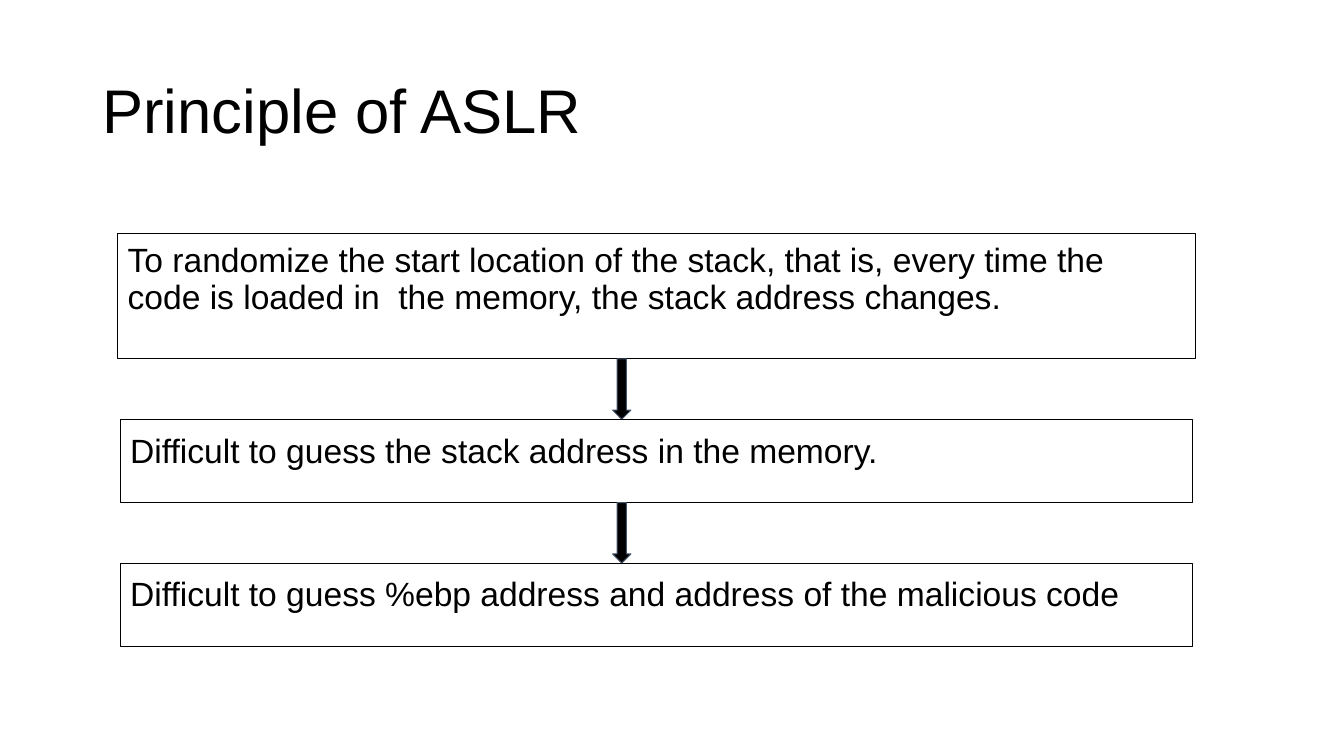
from pptx import Presentation
from pptx import util as u
from pptx.dml import color
from pptx.enum import shapes, text

TITLE = "Principle of ASLR"
STEPS = [
    {"words": "To randomize the start location of the stack, that is, every time the "
              "code is loaded in  the memory, the stack address changes.",
     "width": 769.7, "height": 89.3, "spacing": 0.9},
    {"words": "Difficult to guess the stack address in the memory.",
     "width": 766.1, "height": 59.5, "spacing": 1.0},
    {"words": "Difficult to guess %ebp address and address of the malicious code",
     "width": 766.1, "height": 59.5, "spacing": 1.0},
]

THEME = {
    "font": "Arial", "title": 44, "body": 24,
    "ink": color.RGBColor.from_string("000000"),
    "arrow_edge": color.RGBColor.from_string("44546A"),
    "line": 0.75, "inset": 7.2,
}
SLIDE_SIZE = (960, 540)
TITLE_AREA = (66, 28.8, 828, 104.4)
STEP_CENTER, FIRST_TOP, GAP = 468.9, 167, 43.2
ARROW_CENTER, ARROW_WIDTH = 444.1, 13


def points(*lengths):
    return [u.Pt(length) for length in lengths]


def write(holder, words, size, anchor, spacing):
    frame = holder.text_frame
    frame.word_wrap = True
    frame.vertical_anchor = anchor
    inset = u.Pt(THEME["inset"])
    frame.margin_left = frame.margin_right = inset
    frame.margin_top = frame.margin_bottom = inset
    line = frame.paragraphs[0]
    line.alignment = text.PP_ALIGN.LEFT
    line.line_spacing = spacing
    run = line.add_run()
    run.text = words
    run.font.name = THEME["font"]
    run.font.size = u.Pt(size)
    run.font.color.rgb = THEME["ink"]


def add_outlined(slide, kind, area, edge):
    shape = slide.shapes.add_shape(kind, *points(*area))
    shape.shadow.inherit = False
    shape.line.color.rgb = edge
    shape.line.width = u.Pt(THEME["line"])
    return shape


def add_step(slide, step, top):
    left = STEP_CENTER - step["width"] / 2
    box = add_outlined(slide, shapes.MSO_SHAPE.RECTANGLE,
                       (left, top, step["width"], step["height"]), THEME["ink"])
    box.fill.background()
    write(box, step["words"], THEME["body"], text.MSO_ANCHOR.TOP, step["spacing"])


def add_arrow(slide, top):
    arrow = add_outlined(slide, shapes.MSO_SHAPE.DOWN_ARROW,
                         (ARROW_CENTER - ARROW_WIDTH / 2, top, ARROW_WIDTH, GAP),
                         THEME["arrow_edge"])
    arrow.fill.solid()
    arrow.fill.fore_color.rgb = THEME["ink"]


def main():
    deck = Presentation()
    deck.slide_width, deck.slide_height = points(*SLIDE_SIZE)
    slide = deck.slides.add_slide(deck.slide_layouts[6])

    heading = slide.shapes.add_textbox(*points(*TITLE_AREA))
    write(heading, TITLE, THEME["title"], text.MSO_ANCHOR.MIDDLE, 0.9)

    top = FIRST_TOP
    for position, step in enumerate(STEPS):
        if position:
            add_arrow(slide, top - GAP)
        add_step(slide, step, top)
        top += step["height"] + GAP

    deck.save("out.pptx")


if __name__ == "__main__":
    main()
